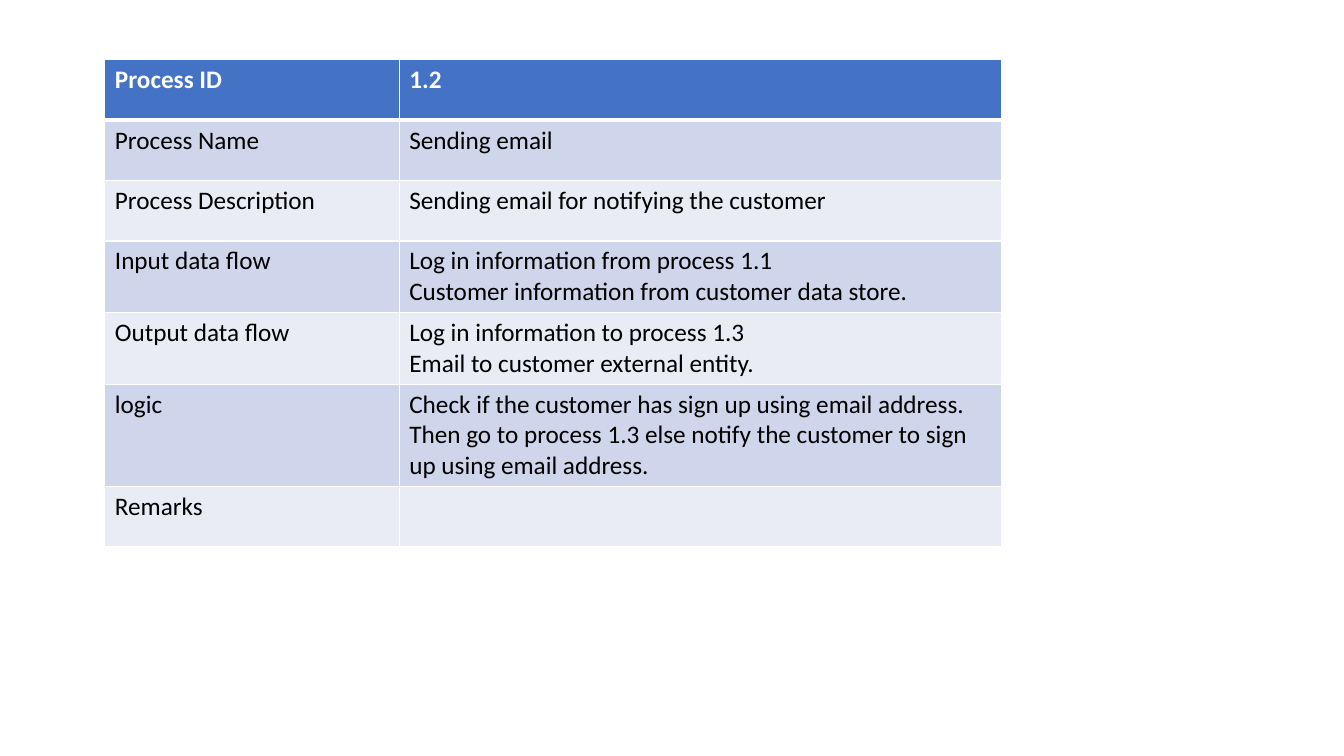
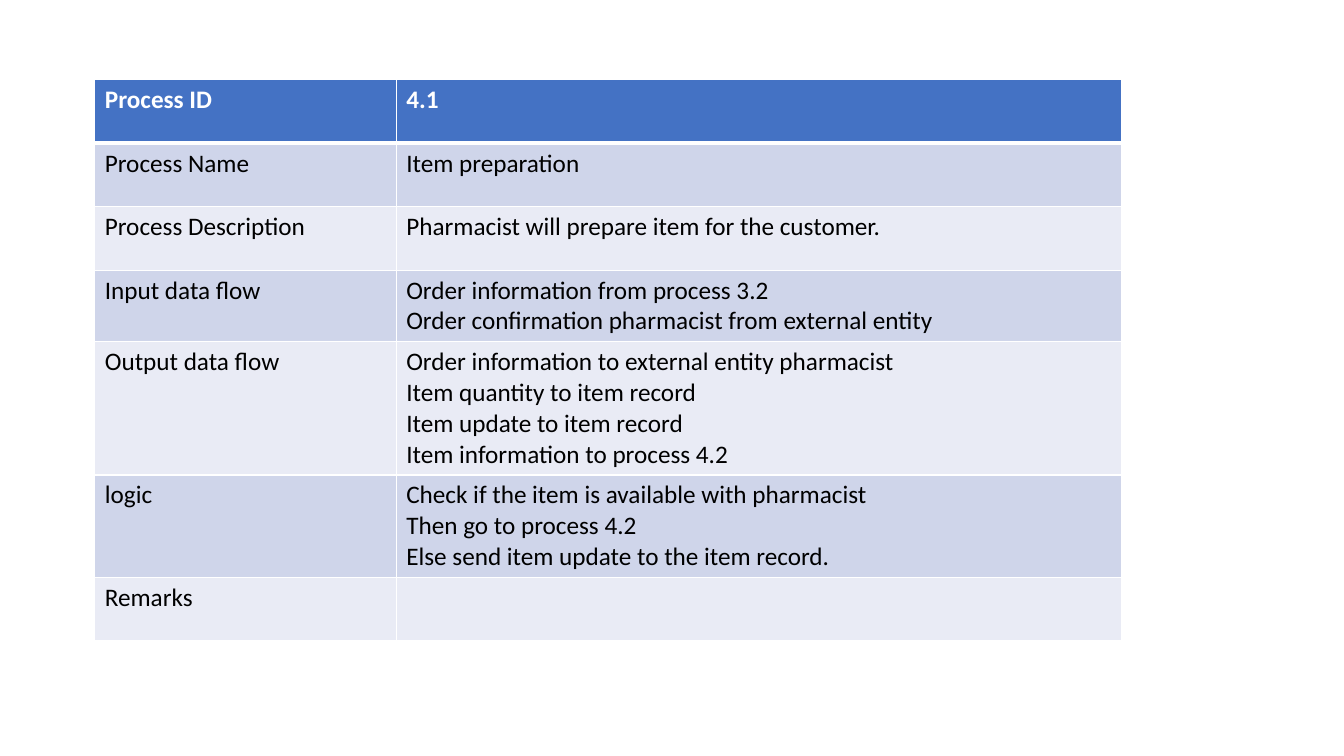
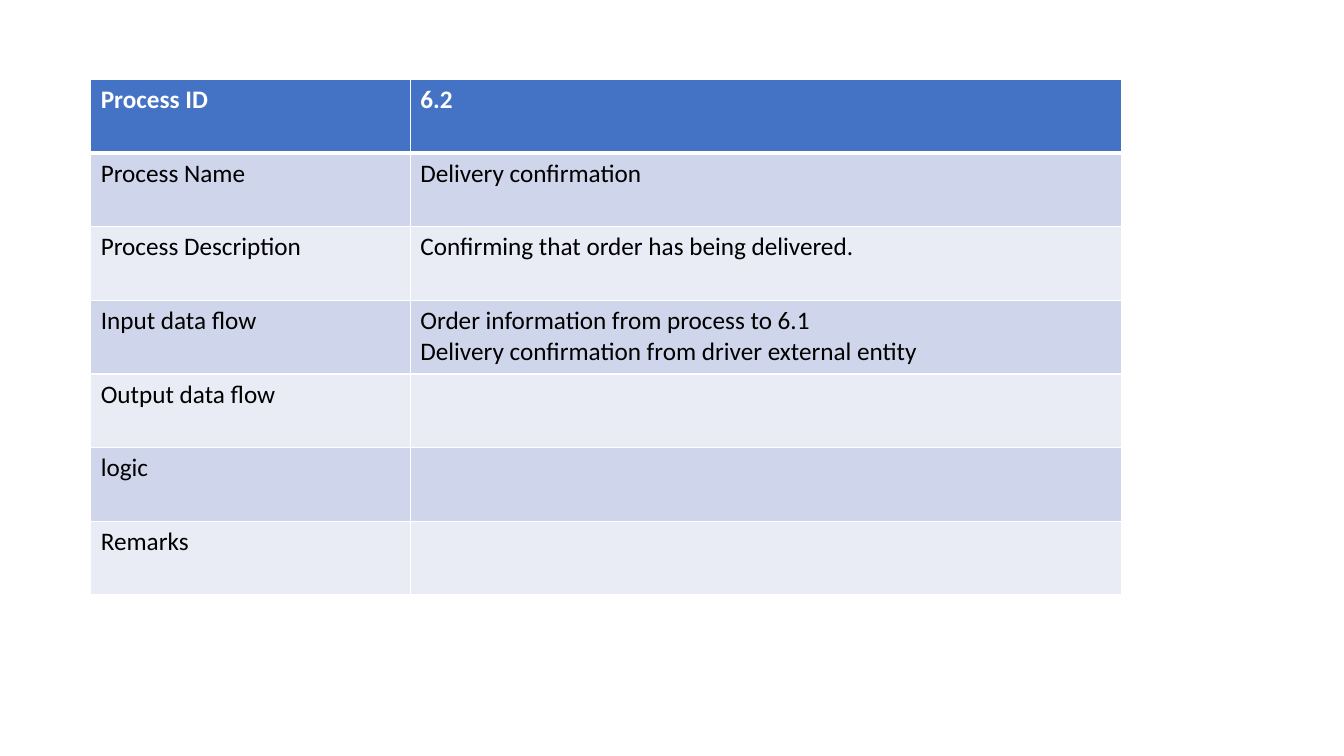
from pptx import Presentation
from pptx import util as u
from pptx.dml.color import RGBColor
from pptx.oxml import parse_xml
from pptx.oxml.ns import nsdecls

COLORS = {"header": "4472C4", "odd": "CFD5EA", "even": "E9EBF5", "white": "FFFFFF", "black": "000000"}
FONT = "Calibri"
LABELS = ["Process ID", "Process Name", "Process Description", "Input data flow",
          "Output data flow", "logic", "Remarks"]

PROCESSES = [
    {"left": 1.04, "top": 0.59, "cols": (2.92, 5.97), "row": 0.6, "values": [
        "1.2",
        "Sending email",
        "Sending email for notifying the customer",
        "Log in information from process 1.1\nCustomer information from customer data store.",
        "Log in information to process 1.3\nEmail to customer external entity.",
        "Check if the customer has sign up using email address.\n"
        "Then go to process 1.3 else notify the customer to sign up using email address.",
        ""]},
    {"left": 0.94, "top": 0.79, "cols": (2.99, 7.19), "row": 0.63, "values": [
        "4.1",
        "Item preparation",
        "Pharmacist will prepare item for the customer.",
        "Order information from process 3.2\nOrder confirmation pharmacist from external entity",
        "Order information to external entity pharmacist\nItem quantity to item record\n"
        "Item update to item record\nItem information to process 4.2",
        "Check if the item is available with pharmacist\nThen go to process 4.2\n"
        "Else send item update to the item record.",
        ""]},
    {"left": 0.9, "top": 0.79, "cols": (3.17, 7.05), "row": 0.73, "values": [
        "6.2",
        "Delivery confirmation",
        "Confirming that order has being delivered.",
        "Order information from process to 6.1\nDelivery confirmation from driver external entity",
        "", "", ""]},
]


def set_borders(cell, top, bottom):
    tcPr = cell._tc.get_or_add_tcPr()
    for side, width in (("L", 1), ("R", 1), ("T", top), ("B", bottom)):
        tcPr.append(parse_xml(
            f'<a:ln{side} {nsdecls("a")} w="{u.Pt(width)}"><a:solidFill>'
            f'<a:srgbClr val="{COLORS["white"]}"/></a:solidFill></a:ln{side}>'))


prs = Presentation()
prs.slide_width, prs.slide_height = u.Inches(13.33), u.Inches(7.5)

for process in PROCESSES:
    s = prs.slides.add_slide(prs.slide_layouts[6])
    height = process["row"] * len(LABELS)
    table = s.shapes.add_table(
        len(LABELS), 2, u.Inches(process["left"]), u.Inches(process["top"]),
        u.Inches(sum(process["cols"])), u.Inches(height)).table
    for column, width in zip(table.columns, process["cols"]):
        column.width = u.Inches(width)
    for i, row_texts in enumerate(zip(LABELS, process["values"])):
        table.rows[i].height = u.Inches(process["row"])
        fill = "header" if i == 0 else "odd" if i % 2 else "even"
        for j, content in enumerate(row_texts):
            cell = table.cell(i, j)
            set_borders(cell, 3 if i == 1 else 1, 3 if i == 0 else 1)
            cell.fill.solid()
            cell.fill.fore_color.rgb = RGBColor.from_string(COLORS[fill])
            cell.text = content
            for p in cell.text_frame.paragraphs:
                p.font.name = FONT
                p.font.size = u.Pt(18)
                p.font.bold = i == 0
                p.font.color.rgb = RGBColor.from_string(COLORS["black" if i else "white"])

prs.save("out.pptx")
